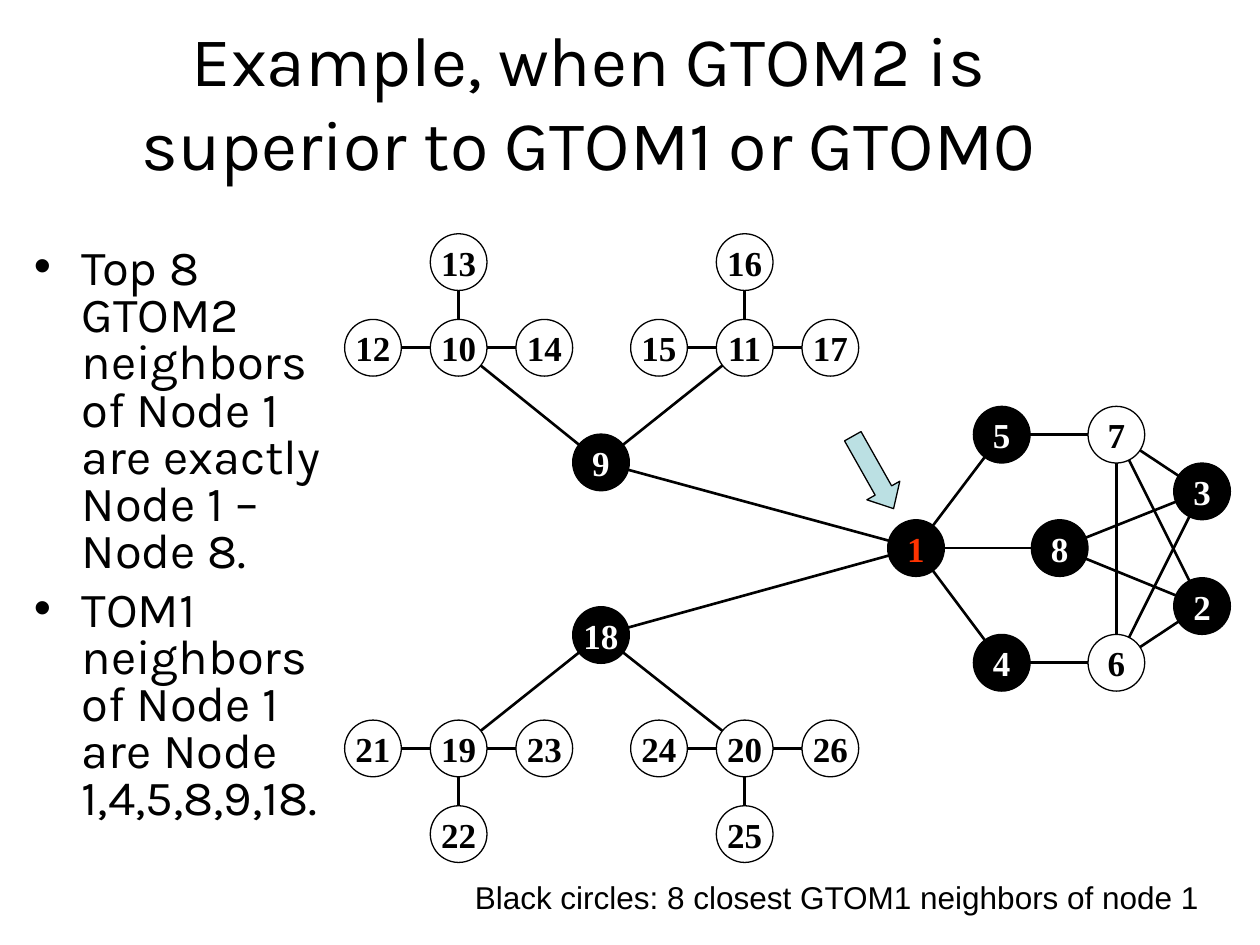
"""Build a slide showing the GTOM neighbours of node 1 in a small network."""
from dataclasses import dataclass

from lxml.etree import SubElement
from pptx import Presentation
from pptx.dml.color import RGBColor
from pptx.enum.shapes import MSO_CONNECTOR as Connector, MSO_SHAPE as Shape
from pptx.enum.text import MSO_ANCHOR as Anchor, PP_ALIGN as Align
from pptx.oxml.ns import qn
from pptx.util import Inches, Pt

COLORS = {"black": "000000", "white": "FFFFFF", "red": "FF3300", "arrow": "BBE0E3"}
DIAMETER = 0.45
ARM = 0.68
AXIS = 4.35
BULLETS = [
    "Top 8 GTOM2 neighbors of Node 1 are exactly Node 1 – Node 8.",
    "TOM1 neighbors of Node 1 are Node 1,4,5,8,9,18.",
]


@dataclass(frozen=True)
class Node:
    label: int
    x: float
    y: float
    fill: str = "white"
    ink: str = "black"


@dataclass(frozen=True)
class Star:
    parent: int
    hub: int
    left: int
    right: int
    outer: int
    x: float
    side: int


STARS = [
    Star(9, 10, 12, 14, 13, 3.64, -1),
    Star(9, 11, 15, 17, 16, 5.91, -1),
    Star(18, 19, 21, 23, 22, 3.64, 1),
    Star(18, 20, 24, 26, 25, 5.91, 1),
]
CORE_NODES = [
    Node(1, 7.27, AXIS, "black", "red"),
    Node(8, 8.41, AXIS, "black", "white"),
    Node(5, 7.95, AXIS - 0.9, "black", "white"),
    Node(4, 7.95, AXIS + 0.91, "black", "white"),
    Node(7, 8.86, AXIS - 0.9),
    Node(6, 8.86, AXIS + 0.91),
    Node(3, 9.54, AXIS - 0.45, "black", "white"),
    Node(2, 9.54, AXIS + 0.46, "black", "white"),
    Node(9, 4.77, AXIS - 0.68, "black", "white"),
    Node(18, 4.77, AXIS + 0.69, "black", "white"),
]
CORE_EDGES = [
    (6, 7), (18, 1), (3, 8), (2, 8), (6, 2), (7, 2), (7, 3),
    (1, 5), (1, 4), (5, 7), (4, 6), (6, 3), (1, 8), (9, 1),
]


def rgb(name: str) -> RGBColor:
    """Return the named colour."""
    return RGBColor.from_string(COLORS[name])


def star_nodes(star: Star) -> list[Node]:
    """Return the hub of a star and its three leaves."""
    y = AXIS + star.side * 1.59
    return [
        Node(star.hub, star.x, y),
        Node(star.left, star.x - ARM, y),
        Node(star.right, star.x + ARM, y),
        Node(star.outer, star.x, y + star.side * ARM),
    ]


def star_edges(star: Star) -> list[tuple[int, int]]:
    """Return the edges that leave the hub of a star."""
    return [(star.hub, end) for end in (star.parent, star.left, star.right, star.outer)]


def style_runs(para, font: str, size: int, color: str = "black", bold: bool = False) -> None:
    """Format every run of a paragraph."""
    for span in para.runs:
        span.font.name = font
        span.font.size = Pt(size)
        span.font.bold = bold
        span.font.color.rgb = rgb(color)


def add_box(page, left: float, top: float, width: float, height: float, lines: list[str]):
    """Add a wrapping text box with one paragraph per line and return its frame."""
    box = page.shapes.add_textbox(Inches(left), Inches(top), Inches(width), Inches(height))
    frame = box.text_frame
    frame.word_wrap = True
    frame.text = "\n".join(lines)
    return frame


def add_bullet(para) -> None:
    """Give a paragraph a hanging round bullet."""
    props = para._p.get_or_add_pPr()
    props.set("marL", str(Inches(0.38)))
    props.set("indent", str(-Inches(0.38)))
    SubElement(props, qn("a:buFont"), typeface="Arial")
    SubElement(props, qn("a:buChar"), char="•")


def style_shape(shape, fill: str) -> None:
    """Set the fill and thin outline of a shape and remove its shadow."""
    shape.shadow.inherit = False
    shape.fill.solid()
    shape.fill.fore_color.rgb = rgb(fill)
    shape.line.color.rgb = rgb("black")
    shape.line.width = Pt(0.75)


def add_edge(network, start: Node, end: Node) -> None:
    """Join the centres of two nodes with a line that has round ends."""
    edge = network.shapes.add_connector(
        Connector.STRAIGHT, Inches(start.x), Inches(start.y), Inches(end.x), Inches(end.y)
    )
    edge.line.color.rgb = rgb("black")
    edge.line.width = Pt(1.5)
    outline = edge.line._get_or_add_ln()
    for tag in ("a:headEnd", "a:tailEnd"):
        SubElement(outline, qn(tag), type="oval")
    SubElement(edge._element.spPr, qn("a:effectLst"))


def add_node(network, node: Node) -> None:
    """Draw a numbered circle around the centre of a node."""
    radius = DIAMETER / 2
    circle = network.shapes.add_shape(
        Shape.OVAL, Inches(node.x - radius), Inches(node.y - radius),
        Inches(DIAMETER), Inches(DIAMETER),
    )
    style_shape(circle, node.fill)
    frame = circle.text_frame
    frame.margin_left = frame.margin_right = frame.margin_top = frame.margin_bottom = 0
    frame.word_wrap = False
    frame.vertical_anchor = Anchor.MIDDLE
    para = frame.paragraphs[0]
    para.text = str(node.label)
    para.alignment = Align.CENTER
    style_runs(para, "Times New Roman", 20, node.ink, bold=True)


def add_network(page) -> None:
    """Draw all edges and then all nodes as one group."""
    network = page.shapes.add_group_shape()
    nodes = CORE_NODES + [node for star in STARS for node in star_nodes(star)]
    edges = CORE_EDGES + [edge for star in STARS for edge in star_edges(star)]
    by_label = {node.label: node for node in nodes}
    for start, end in edges:
        add_edge(network, by_label[start], by_label[end])
    for node in nodes:
        add_node(network, node)


def main() -> None:
    """Build and save the slide."""
    deck = Presentation()
    deck.slide_width, deck.slide_height = Inches(10), Inches(7.5)
    page = deck.slides.add_slide(deck.slide_layouts[6])

    title = add_box(page, 0.42, 0.17, 8.5, 1.25,
                    ["Example, when GTOM2 is superior to GTOM1 or GTOM0"])
    title.vertical_anchor = Anchor.MIDDLE
    title.paragraphs[0].alignment = Align.CENTER
    style_runs(title.paragraphs[0], "Karla", 40)

    body = add_box(page, 0.17, 1.92, 2.67, 5.42, BULLETS)
    for index, para in enumerate(body.paragraphs):
        add_bullet(para)
        para.line_spacing = 0.8
        para.space_before = Pt(7 if index else 0)
        style_runs(para, "Karla", 28)

    add_network(page)

    caption = add_box(page, 3.67, 6.92, 6.33, 0.4,
                      ["Black circles: 8 closest GTOM1 neighbors of node 1"])
    style_runs(caption.paragraphs[0], "Arial", 18)

    pointer = page.shapes.add_shape(
        Shape.RIGHT_ARROW, Inches(6.6), Inches(3.6), Inches(0.66), Inches(0.3)
    )
    pointer.adjustments[1] = 0.55
    pointer.rotation = 60.6
    style_shape(pointer, "arrow")

    deck.save("out.pptx")


if __name__ == "__main__":
    main()
